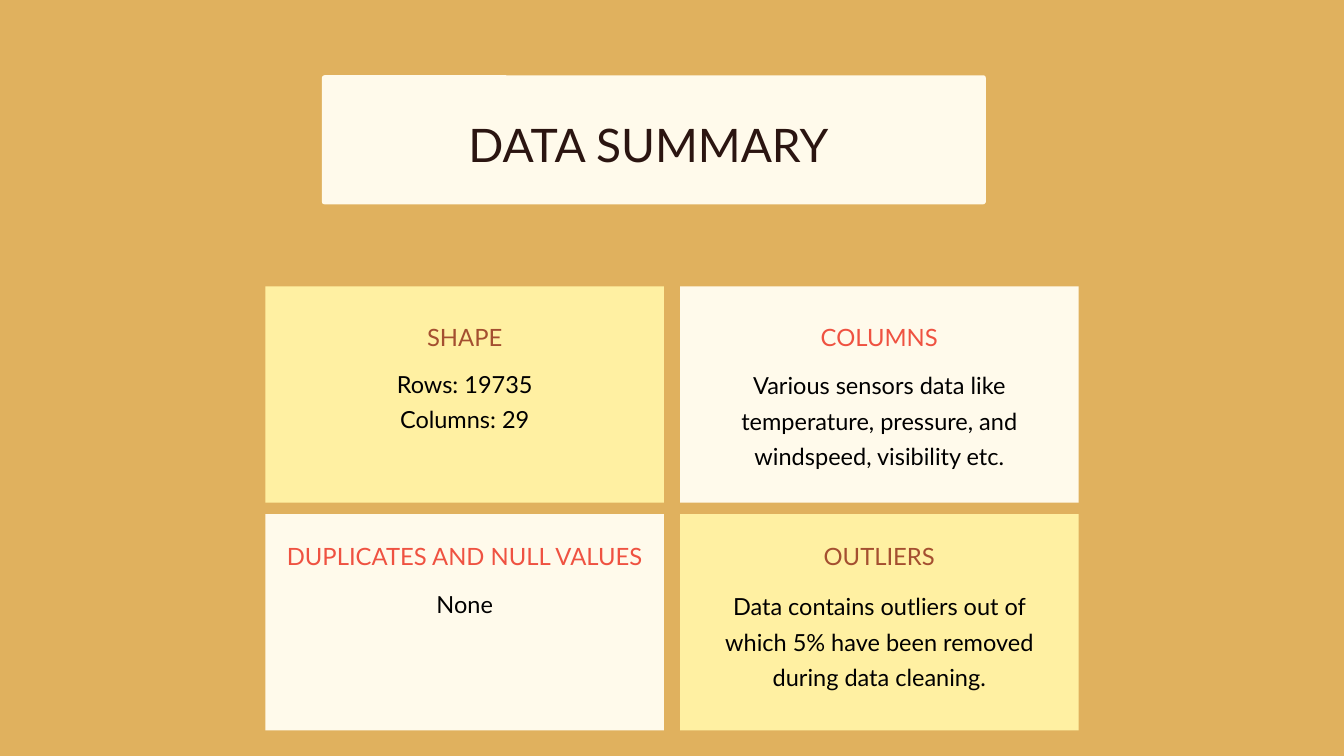
from dataclasses import dataclass

from pptx import Presentation
from pptx import util as u
from pptx.dml.color import RGBColor
from pptx.enum import shapes, text
from pptx.util import Inches

SAND = RGBColor(0xE0, 0xB1, 0x5E)
CREAM = RGBColor(0xFF, 0xFA, 0xEB)
YELLOW = RGBColor(0xFF, 0xF0, 0xA2)
DARK_BROWN = RGBColor(0x2B, 0x15, 0x11)
BROWN = RGBColor(0xA4, 0x4F, 0x30)
RED = RGBColor(0xEF, 0x52, 0x41)
BLACK = RGBColor(0, 0, 0)

FONT = "Lato"
CARD_WIDTH, CARD_HEIGHT = 5.93, 3.22
COLUMN_LEFTS = (3.95, 10.12)
ROW_TOPS = (4.26, 7.65)
HEADING_TOPS = (4.73, 7.99)
HEADING_WIDTH, BODY_WIDTH = 5.49, 5.02


@dataclass(frozen=True)
class Card:
    column: int
    row: int
    heading: str
    lines: tuple[str, ...]
    body_top: float
    body_height: float

    @property
    def yellow(self) -> bool:
        return self.column == self.row


CARDS = (
    Card(0, 0, "SHAPE", ("Rows: 19735", "Columns: 29"), 5.4, 1.01),
    Card(1, 0, "COLUMNS",
         ("Various sensors data like temperature, pressure, and windspeed, visibility etc.",),
         5.42, 1.53),
    Card(0, 1, "DUPLICATES AND NULL VALUES", ("None",), 8.68, 0.49),
    Card(1, 1, "OUTLIERS",
         ("Data contains outliers out of which 5% have been removed during data cleaning.",),
         8.71, 1.53),
)


def add_panel(slide, kind, left: float, top: float, width: float, height: float,
              color: RGBColor):
    shape = slide.shapes.add_shape(
        kind, Inches(left), Inches(top), Inches(width), Inches(height))
    shape.shadow.inherit = False
    shape.fill.solid()
    shape.fill.fore_color.rgb = color
    shape.line.fill.background()
    return shape


def add_text(slide, lines: tuple[str, ...], *, left: float, top: float, width: float,
             height: float, size: float, spacing: float, color: RGBColor,
             anchor=text.MSO_ANCHOR.TOP, inset: float = 0) -> None:
    box = slide.shapes.add_textbox(
        Inches(left), Inches(top), Inches(width), Inches(height))
    frame = box.text_frame
    frame.word_wrap = True
    frame.vertical_anchor = anchor
    frame.margin_left = frame.margin_right = Inches(inset)
    frame.margin_top = frame.margin_bottom = Inches(inset)
    frame.text = "\n".join(lines)
    for paragraph in frame.paragraphs:
        paragraph.alignment = text.PP_ALIGN.CENTER
        paragraph.line_spacing = u.Pt(spacing)
        font = paragraph.runs[0].font
        font.name = FONT
        font.size = u.Pt(size)
        font.color.rgb = color


def add_card(slide, card: Card) -> None:
    left = COLUMN_LEFTS[card.column]
    add_panel(slide, shapes.MSO_SHAPE.RECTANGLE, left, ROW_TOPS[card.row],
              CARD_WIDTH, CARD_HEIGHT, YELLOW if card.yellow else CREAM)
    add_text(slide, (card.heading,), left=left + (CARD_WIDTH - HEADING_WIDTH) / 2,
             top=HEADING_TOPS[card.row], width=HEADING_WIDTH, height=0.47,
             size=25.5, spacing=35.8, color=BROWN if card.yellow else RED)
    add_text(slide, card.lines, left=left + (CARD_WIDTH - BODY_WIDTH) / 2,
             top=card.body_top, width=BODY_WIDTH, height=card.body_height,
             size=25.2, spacing=37.9, color=BLACK)


def main() -> None:
    presentation = Presentation()
    presentation.slide_width = Inches(20)
    presentation.slide_height = Inches(11.25)
    slide = presentation.slides.add_slide(presentation.slide_layouts[6])
    slide.background.fill.solid()
    slide.background.fill.fore_color.rgb = SAND

    # Title banner
    banner = add_panel(slide, shapes.MSO_SHAPE.ROUNDED_RECTANGLE,
                       4.79, 1.12, 9.88, 1.92, CREAM)
    banner.adjustments[0] = 0.02
    add_text(slide, ("DATA SUMMARY",), left=4.71, top=0.92, width=9.88, height=2.32,
             size=49.5, spacing=69.2, color=DARK_BROWN,
             anchor=text.MSO_ANCHOR.MIDDLE, inset=0.06)

    # Two by two grid of findings
    for card in CARDS:
        add_card(slide, card)

    presentation.save("out.pptx")


if __name__ == "__main__":
    main()
